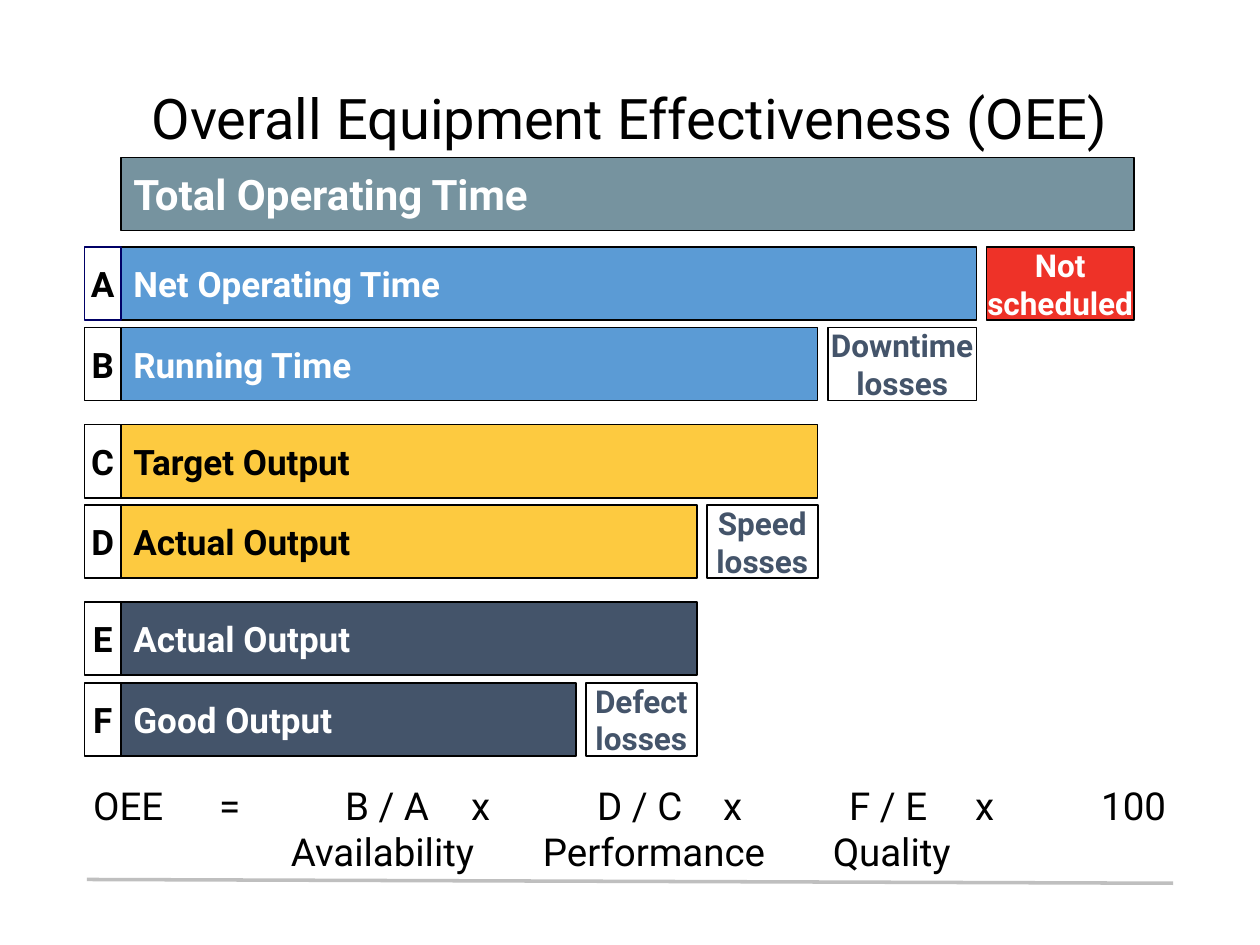
import pptx
import pptx.util
import pptx.dml.color
import pptx.enum.shapes
import pptx.enum.text
import pptx.oxml.ns
from lxml import etree
from pptx.util import Inches

FONT = "Roboto"
COLORS = {
    "black": "000000",
    "white": "FFFFFF",
    "navy": "000066",
    "total": "76939F",
    "time": "5B9BD5",
    "target": "FDCA40",
    "quality": "44546A",
    "unscheduled": "EE3228",
    "rule": "BFBFBF",
}
LEFT, ROW_HEIGHT, GAP = 0.96, 0.58, 0.08
LETTER_LEFT = 0.67
FIRST_ROW, PAIR_PITCH, ROW_PITCH = 1.96, 1.41, 0.64
TOTAL_WIDTH = 8.04
ALIGN = pptx.enum.text.PP_ALIGN
ANCHOR = pptx.enum.text.MSO_ANCHOR

ROWS = [
    ("A", "Net Operating Time", 6.79, "time", "white", "Not\nscheduled"),
    ("B", "Running Time", 5.53, "time", "white", "Downtime\nlosses"),
    ("C", "Target Output", 5.53, "target", "black", None),
    ("D", "Actual Output", 4.57, "target", "black", "Speed\nlosses"),
    ("E", "Actual Output", 4.57, "quality", "white", None),
    ("F", "Good Output", 3.61, "quality", "white", "Defect\nlosses"),
]


def rgb(name):
    return pptx.dml.color.RGBColor.from_string(COLORS[name])


def format_text(text_frame, size, color, align, bold=False):
    for paragraph in text_frame.paragraphs:
        paragraph.alignment = align
        paragraph.font.name = FONT
        paragraph.font.size = pptx.util.Pt(size)
        paragraph.font.bold = bold
        paragraph.font.color.rgb = rgb(color)


def add_box(slide, left, top, width, text, fill, color, size=20, align=ALIGN.LEFT, line="black"):
    shape = slide.shapes.add_shape(
        pptx.enum.shapes.MSO_SHAPE.RECTANGLE,
        Inches(left), Inches(top), Inches(width), Inches(ROW_HEIGHT),
    )
    shape.shadow.inherit = False
    if fill:
        shape.fill.solid()
        shape.fill.fore_color.rgb = rgb(fill)
    else:
        shape.fill.background()
    shape.line.color.rgb = rgb(line)
    shape.line.width = pptx.util.Pt(1)
    text_frame = shape.text_frame
    text_frame.word_wrap = False
    text_frame.vertical_anchor = ANCHOR.MIDDLE
    text_frame.text = text
    format_text(text_frame, size, color, align, bold=True)


def add_row(slide, index, row, previous_width):
    letter, label, width, fill, color, loss = row
    pair, place = divmod(index, 2)
    top = FIRST_ROW + pair * PAIR_PITCH + place * ROW_PITCH
    add_box(slide, LEFT, top, width, label, fill, color)
    letter_line = "navy" if letter == "A" else "black"
    add_box(slide, LETTER_LEFT, top, LEFT - LETTER_LEFT, letter, None, "black",
            align=ALIGN.CENTER, line=letter_line)
    if loss:
        loss_fill, loss_color = ("unscheduled", "white") if index == 0 else ("white", "quality")
        add_box(slide, LEFT + width + GAP, top, previous_width - width - GAP, loss,
                loss_fill, loss_color, size=18, align=ALIGN.CENTER)


def add_tabbed_line(slide, left, top, width, height, words, stops):
    text_frame = slide.shapes.add_textbox(
        Inches(left), Inches(top), Inches(width), Inches(height)
    ).text_frame
    text_frame.word_wrap = True
    text_frame.margin_left = text_frame.margin_right = 0
    text_frame.margin_top = text_frame.margin_bottom = 0
    paragraph = text_frame.paragraphs[0]
    paragraph.text = "\t".join(words)
    qn = pptx.oxml.ns.qn
    tab_list = etree.SubElement(paragraph._p.get_or_add_pPr(), qn("a:tabLst"))
    for stop in stops:
        etree.SubElement(tab_list, qn("a:tab"), pos=str(Inches(stop)), algn="l")
    format_text(text_frame, 22, "black", ALIGN.LEFT)


def add_rule(slide):
    connector = slide.shapes.add_connector(
        pptx.enum.shapes.MSO_CONNECTOR.STRAIGHT,
        Inches(0.69), Inches(6.98), Inches(9.31), Inches(7.01),
    )
    connector.line.color.rgb = rgb("rule")
    connector.line.width = pptx.util.Pt(2)
    etree.SubElement(connector._element.spPr, pptx.oxml.ns.qn("a:effectLst"))


def set_title(slide, text):
    title = slide.shapes.title
    title.left, title.top = Inches(0.04), Inches(0.67)
    title.width, title.height = Inches(9.92), Inches(0.58)
    title.text_frame.text = text
    title.text_frame.vertical_anchor = ANCHOR.BOTTOM
    title.text_frame.auto_size = pptx.enum.text.MSO_AUTO_SIZE.NONE
    format_text(title.text_frame, 32, "black", ALIGN.CENTER)


def main():
    presentation = pptx.Presentation()
    presentation.slide_width = Inches(10)
    presentation.slide_height = Inches(7.5)
    slide = presentation.slides.add_slide(presentation.slide_layouts[5])
    set_title(slide, "Overall Equipment Effectiveness (OEE)")
    add_rule(slide)
    add_box(slide, LEFT, 1.25, TOTAL_WIDTH, "Total Operating Time", "total", "white", size=24)
    previous_width = TOTAL_WIDTH
    for index, row in enumerate(ROWS):
        add_row(slide, index, row, previous_width)
        previous_width = row[2]
    formula = ["OEE", "=", "B / A", "x", "D / C", "x", "F / E", "x", "100"]
    add_tabbed_line(slide, 0.74, 6.21, 8.7, 0.37, formula, range(1, len(formula)))
    factors = ["Availability", "Performance", "Quality"]
    add_tabbed_line(slide, 2.31, 6.57, 5.44, 0.37, factors, [2, 4.3])
    presentation.save("out.pptx")


if __name__ == "__main__":
    main()
